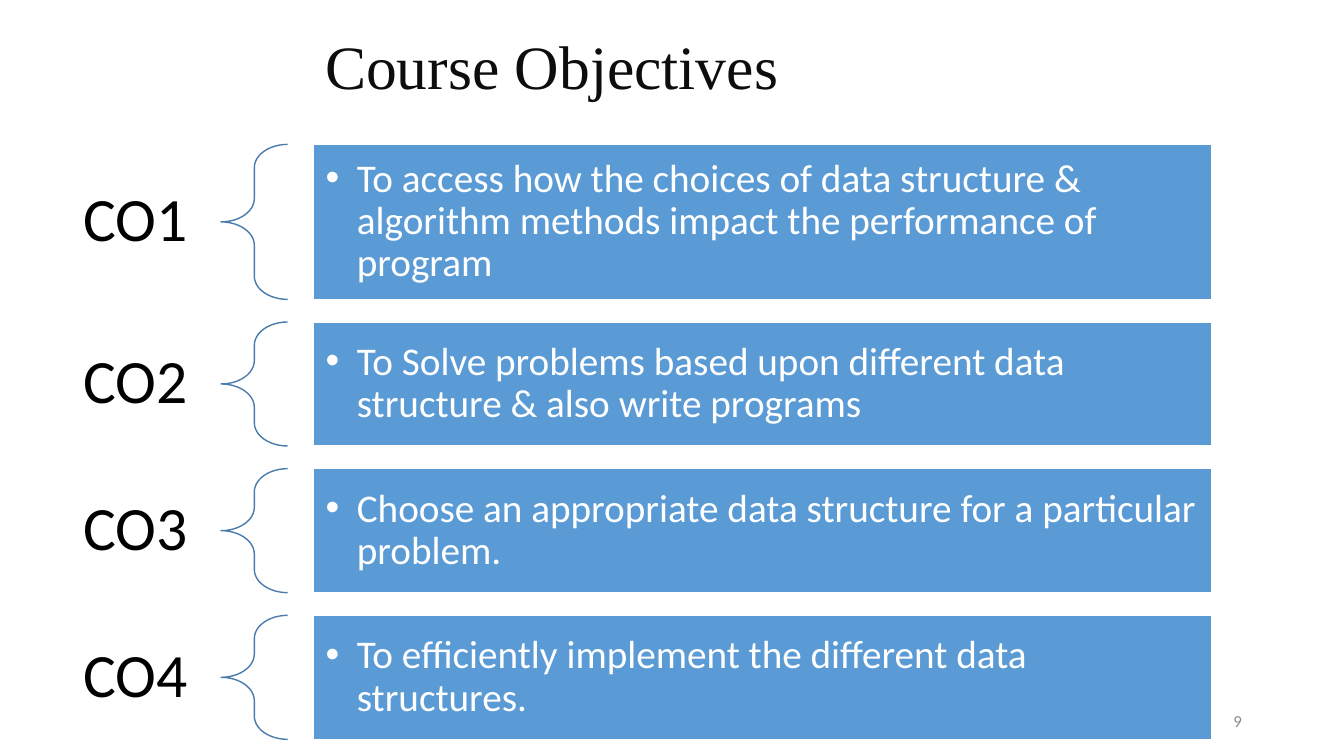
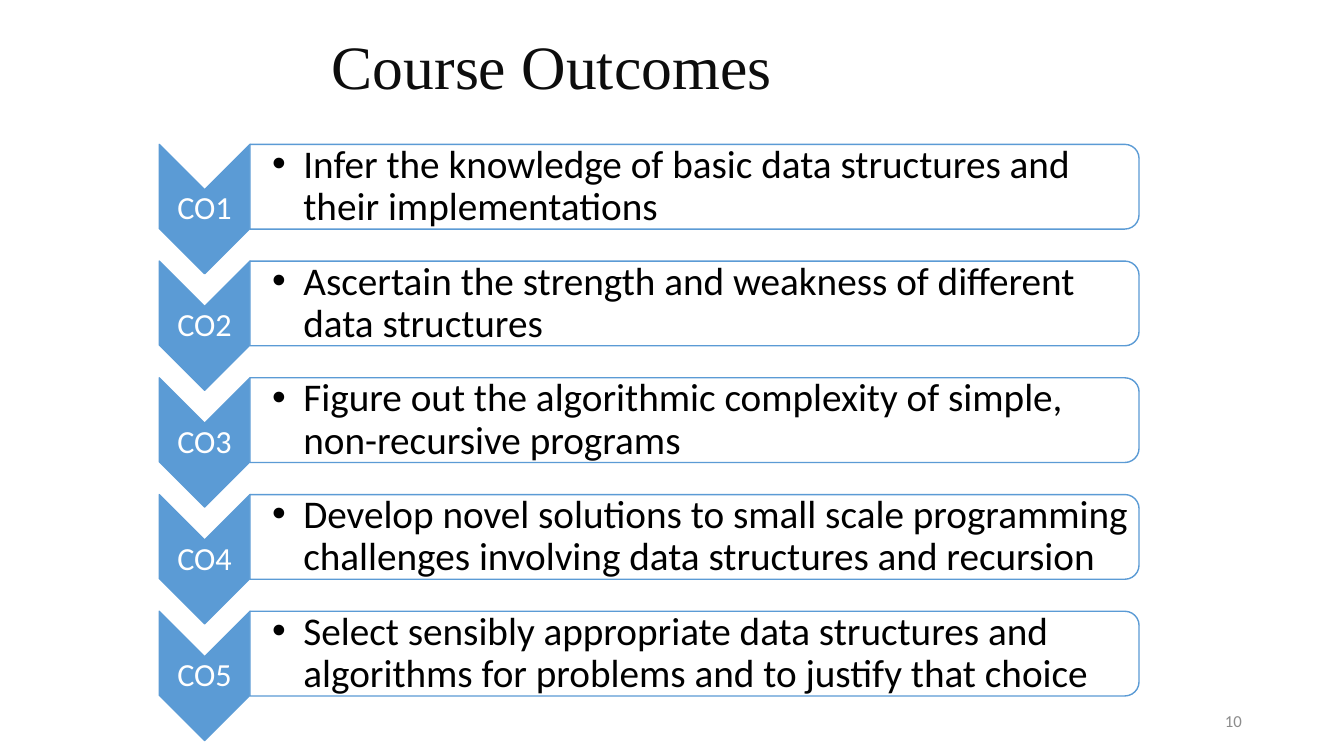
from dataclasses import dataclass
from itertools import accumulate
from typing import NamedTuple

from lxml import etree
from pptx import Presentation
from pptx import util as u
from pptx.dml.color import RGBColor
from pptx.enum import shapes, text
from pptx.oxml.ns import qn


@dataclass(frozen=True)
class Theme:
    blue: str = "5B9BD5"
    brace: str = "497CAB"
    white: str = "FFFFFF"
    black: str = "000000"
    title: str = "0D0D0D"
    grey: str = "8C8C8C"
    serif: str = "Times New Roman"
    sans: str = "Calibri"
    heading_size: int = 44
    body_size: int = 28
    chevron_size: int = 23
    number_size: int = 12
    line_width: int = 1
    hanging: float = 0.31


class Area(NamedTuple):
    """Percentages of the slide's width and height."""
    left: float
    top: float
    width: float
    height: float


class Style(NamedTuple):
    size: int
    color: str
    font: str = "Calibri"
    align: text.PP_ALIGN = text.PP_ALIGN.LEFT
    margins: tuple = (0.1, 0.05, 0.1, 0.05)
    spacing: float = 0.9
    bullet: bool = False


class Item(NamedTuple):
    code: str
    statement: str
    height: float = 16.4


THEME = Theme()
WIDTH, HEIGHT = u.Inches(13.333), u.Inches(7.5)
RIGHT, CENTER = text.PP_ALIGN.RIGHT, text.PP_ALIGN.CENTER
SHAPE = shapes.MSO_SHAPE

TITLE_AREA = Area(6.9, 2, 68.33, 14.4)
NUMBER_AREA = Area(70.65, 92.67, 22.5, 5.33)
LIST_TOP = 19.1
OBJECTIVE_GAP = 3
OUTCOME_PITCH = 15.44

TITLE = Style(THEME.heading_size, THEME.title, THEME.serif, CENTER)
NUMBER = Style(THEME.number_size, THEME.grey, align=RIGHT, spacing=1)
OBJECTIVE_CODE = Style(THEME.heading_size, THEME.black, align=RIGHT,
                       margins=(0.34, 0.12, 0.34, 0.12))
OBJECTIVE = Style(THEME.body_size, THEME.white, margins=(0.12,) * 4, bullet=True)
OUTCOME_CODE = Style(THEME.chevron_size, THEME.white, align=CENTER, margins=(0.02,) * 4)
OUTCOME = Style(THEME.body_size, THEME.black, margins=(0.22, 0.02, 0.02, 0.02), bullet=True)

OBJECTIVES = [
    Item("CO1", "To access how the choices of data structure & algorithm methods "
                "impact the performance of program", 20.5),
    Item("CO2", "To Solve problems based upon different data structure & also write programs"),
    Item("CO3", "Choose an appropriate data structure for a particular problem."),
    Item("CO4", "To efficiently implement the different data structures."),
]
OUTCOMES = [
    Item("CO1", "Infer the knowledge of basic data structures and their implementations"),
    Item("CO2", "Ascertain the strength and weakness of different data structures"),
    Item("CO3", "Figure out the algorithmic complexity of simple, non-recursive programs"),
    Item("CO4", "Develop novel solutions to small scale programming challenges "
                "involving data structures and recursion"),
    Item("CO5", "Select sensibly appropriate data structures and algorithms for problems "
                "and to justify that choice"),
]


def to_emu(area: Area) -> tuple:
    return (int(area.left * WIDTH / 100), int(area.top * HEIGHT / 100),
            int(area.width * WIDTH / 100), int(area.height * HEIGHT / 100))


def write(holder, words: str, style: Style) -> None:
    frame = holder.text_frame
    frame.word_wrap = True
    frame.vertical_anchor = text.MSO_ANCHOR.MIDDLE
    (frame.margin_left, frame.margin_top,
     frame.margin_right, frame.margin_bottom) = map(u.Inches, style.margins)
    frame.text = words
    paragraph = frame.paragraphs[0]
    paragraph.alignment = style.align
    paragraph.line_spacing = style.spacing
    if style.bullet:
        properties = paragraph._p.get_or_add_pPr()
        hanging = u.Inches(THEME.hanging)
        properties.set("marL", str(hanging))
        properties.set("indent", str(-hanging))
        etree.SubElement(properties, qn("a:buFont")).set("typeface", "Arial")
        etree.SubElement(properties, qn("a:buChar")).set("char", "•")
    font = paragraph.runs[0].font
    font.name = style.font
    font.size = u.Pt(style.size)
    font.color.rgb = RGBColor.from_string(style.color)


def add_text(slide, area: Area, words: str, style: Style) -> None:
    write(slide.shapes.add_textbox(*to_emu(area)), words, style)


def add_figure(slide, kind: SHAPE, area: Area, line: str,
               fill: str | None = None, turned: bool = False):
    left, top, width, height = to_emu(area)
    if turned:
        left, top = left + (width - height) // 2, top + (height - width) // 2
        width, height = height, width
    figure = slide.shapes.add_shape(kind, left, top, width, height)
    figure.rotation = 90 if turned else 0
    figure.shadow.inherit = False
    if fill:
        figure.fill.solid()
        figure.fill.fore_color.rgb = RGBColor.from_string(fill)
    else:
        figure.fill.background()
    figure.line.color.rgb = RGBColor.from_string(line)
    figure.line.width = u.Pt(THEME.line_width)
    return figure


def add_page(deck, title: str, number: int):
    slide = deck.slides.add_slide(deck.slide_layouts[6])
    add_text(slide, TITLE_AREA, title, TITLE)
    add_text(slide, NUMBER_AREA, str(number), NUMBER)
    return slide


def add_objective(slide, item: Item, top: float) -> None:
    add_text(slide, Area(2.5, top, 14, item.height), item.code, OBJECTIVE_CODE)
    brace = add_figure(slide, SHAPE.LEFT_BRACE, Area(16.45, top, 4.95, item.height), THEME.brace)
    brace.adjustments[0] = 0.35
    panel = add_figure(slide, SHAPE.RECTANGLE, Area(23.33, top, 66.8, item.height),
                       THEME.white, THEME.blue)
    write(panel, item.statement, OBJECTIVE)


def add_outcome(slide, item: Item, top: float) -> None:
    add_figure(slide, SHAPE.CHEVRON, Area(11.85, top, 6.75, 17.1),
               THEME.blue, THEME.blue, turned=True)
    add_text(slide, Area(11.85, top + 6, 6.75, 5.2), item.code, OUTCOME_CODE)
    add_figure(slide, SHAPE.ROUND_2_SAME_RECTANGLE, Area(18.6, top, 66.15, 11.2),
               THEME.blue, THEME.white, turned=True)
    add_text(slide, Area(18.6, top + 0.6, 65.85, 10), item.statement, OUTCOME)


def main() -> None:
    deck = Presentation()
    deck.slide_width, deck.slide_height = WIDTH, HEIGHT

    objectives = add_page(deck, "Course Objectives", 9)
    tops = accumulate((item.height + OBJECTIVE_GAP for item in OBJECTIVES), initial=LIST_TOP)
    for item, top in zip(OBJECTIVES, tops):
        add_objective(objectives, item, top)

    outcomes = add_page(deck, "Course Outcomes", 10)
    for row, item in enumerate(OUTCOMES):
        add_outcome(outcomes, item, LIST_TOP + row * OUTCOME_PITCH)

    deck.save("out.pptx")


if __name__ == "__main__":
    main()
